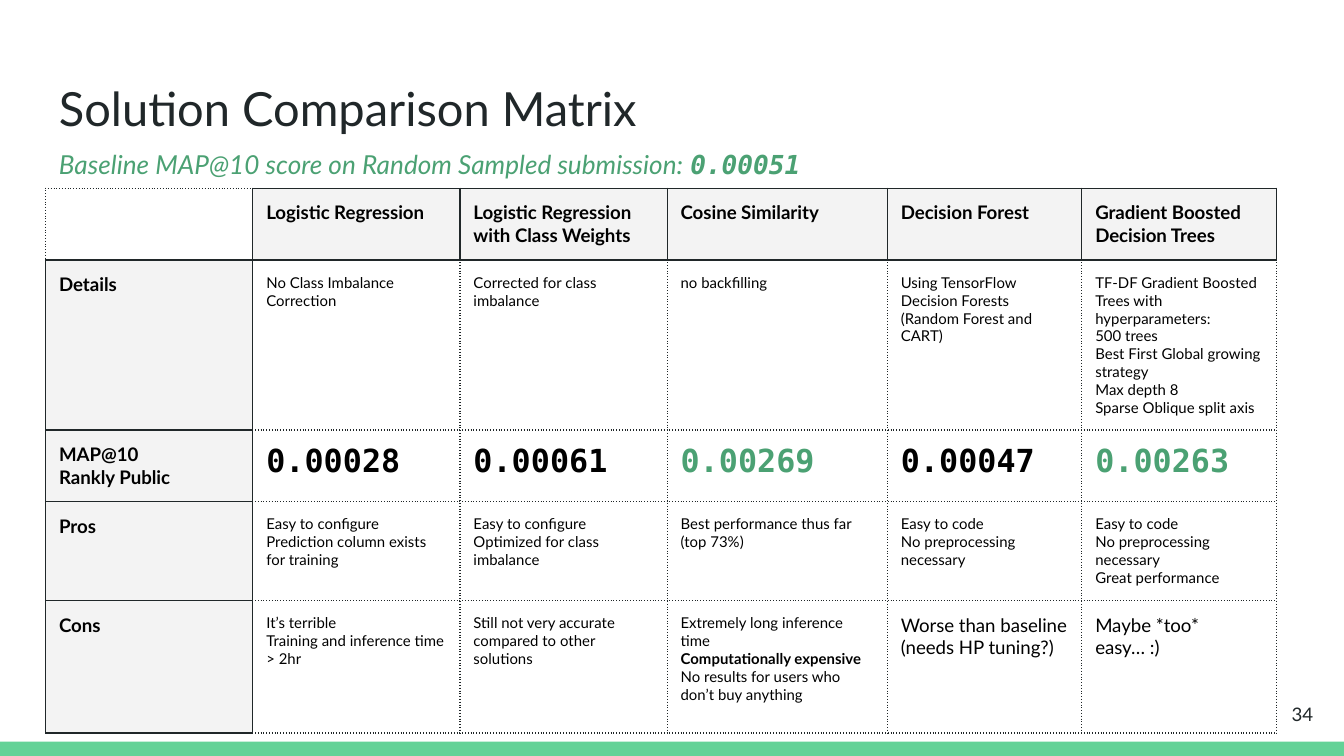
import pptx
import pptx.dml.color
import pptx.enum.shapes
import pptx.enum.text
import pptx.util
from lxml import etree

Pt = pptx.util.Pt
ALIGN = pptx.enum.text.PP_ALIGN
ANCHOR = pptx.enum.text.MSO_ANCHOR
NS = "http://schemas.openxmlformats.org/drawingml/2006/main"

INK, GREEN, BLACK, GREY, BAR = "202729", "4BA173", "000000", "F3F3F3", "63D297"
INSET = 7.2

# Text formats: font attributes plus a colour
TITLE = dict(name="Lato", size=Pt(25.2), color=INK)
LEAD = dict(name="Lato", size=Pt(14), italic=True, color=GREEN)
BASE = dict(LEAD, name="DejaVu Sans Mono", bold=True)
PAGE = dict(name="Lato", size=Pt(10), color=INK)
HEAD = dict(name="Lato", size=Pt(10), bold=True, color=BLACK)
NOTE = dict(name="Lato", size=Pt(8), bold=False, color=BLACK)
STRONG = dict(NOTE, bold=True)
LARGE = dict(NOTE, size=Pt(10))
SCORE = dict(name="DejaVu Sans Mono", size=Pt(17), bold=True, color=BLACK)
BEST = dict(SCORE, color=GREEN)

# Table content: one string per cell, one line per paragraph
COLS = [111, 111, 111, 118, 104.2, 104.2]
ROWS = [37.4, 88.6, 37.4, 46.8, 71.2]
CELLS = [
    ["", "Logistic Regression", "Logistic Regression with Class Weights",
     "Cosine Similarity", "Decision Forest", "Gradient Boosted Decision Trees"],
    ["Details", "No Class Imbalance Correction", "Corrected for class imbalance",
     "no backfilling",
     "Using TensorFlow Decision Forests (Random Forest and CART)",
     "TF-DF Gradient Boosted Trees with hyperparameters:\n500 trees\n"
     "Best First Global growing strategy\nMax depth 8\nSparse Oblique split axis"],
    ["MAP@10\nRankly Public", "0.00028", "0.00061", "0.00269", "0.00047", "0.00263"],
    ["Pros", "Easy to configure\nPrediction column exists for training",
     "Easy to configure\nOptimized for class imbalance",
     "Best performance thus far (top 73%)",
     "Easy to code\nNo preprocessing necessary",
     "Easy to code\nNo preprocessing necessary\nGreat performance"],
    ["Cons", "It’s terrible\nTraining and inference time > 2hr",
     "Still not very accurate compared to other solutions",
     "Extremely long inference time\nComputationally expensive\n"
     "No results for users who don’t buy anything",
     "Worse than baseline (needs HP tuning?)", "Maybe *too* easy… :)"],
]
# Formats of single cells that differ from their row
CUSTOM = {(2, 3): BEST, (2, 5): BEST, (4, 4): LARGE, (4, 5): LARGE}


def rgb(code):
    return pptx.dml.color.RGBColor.from_string(code)


def add_run(para, text, style):
    run = para.add_run()
    run.text = text
    for key, value in style.items():
        if key == "color":
            run.font.color.rgb = rgb(value)
        else:
            setattr(run.font, key, value)


def add_text(slide, box, runs, anchor=ANCHOR.TOP, **layout):
    frame = slide.shapes.add_textbox(*map(Pt, box)).text_frame
    margins = {f"margin_{side}": Pt(INSET) for side in ("left", "top", "right", "bottom")}
    for key, value in dict(margins, word_wrap=True, vertical_anchor=anchor).items():
        setattr(frame, key, value)
    para = frame.paragraphs[0]
    for key, value in layout.items():
        setattr(para, key, value)
    for text, style in runs:
        add_run(para, text, style)


def add_bar(slide, box, color):
    bar = slide.shapes.add_shape(pptx.enum.shapes.MSO_SHAPE.RECTANGLE, *map(Pt, box))
    bar.shadow.inherit = False
    bar.fill.solid()
    bar.fill.fore_color.rgb = rgb(color)
    bar.line.fill.background()


def is_head(row, col):
    """Header cells fill the first row and column, except their corner."""
    return (row == 0) != (col == 0)


def add_edge(cell, side, dash):
    line = etree.SubElement(cell._tc.get_or_add_tcPr(), f"{{{NS}}}ln{side}", w=str(Pt(0.75)))
    fill = etree.SubElement(line, f"{{{NS}}}solidFill")
    etree.SubElement(fill, f"{{{NS}}}srgbClr", val=INK)
    etree.SubElement(line, f"{{{NS}}}prstDash", val=dash)


def fill_cell(cell, row, col):
    head = is_head(row, col)
    # Edges that touch a header cell are solid, all others dotted
    near = {"L": (row, col - 1), "R": (row, col + 1), "T": (row - 1, col), "B": (row + 1, col)}
    for side, (r, c) in near.items():
        inside = 0 <= r < len(ROWS) and 0 <= c < len(COLS)
        solid = head or (inside and is_head(r, c))
        add_edge(cell, side, "solid" if solid else "dot")
    if head:
        cell.fill.solid()
        cell.fill.fore_color.rgb = rgb(GREY)
    else:
        cell.fill.background()
    for side in ("left", "top", "right", "bottom"):
        setattr(cell, f"margin_{side}", Pt(INSET))
    # Text
    plain = HEAD if head else SCORE if row == 2 else NOTE
    style = CUSTOM.get((row, col), plain)
    for i, text in enumerate(CELLS[row][col].splitlines()):
        para = cell.text_frame.add_paragraph() if i else cell.text_frame.paragraphs[0]
        add_run(para, text, STRONG if text == "Computationally expensive" else style)


def add_matrix(slide, left, top):
    box = map(Pt, (left, top, sum(COLS), sum(ROWS)))
    table = slide.shapes.add_table(len(ROWS), len(COLS), *box).table
    table.first_row = table.horz_banding = False
    for col, width in enumerate(COLS):
        table.columns[col].width = Pt(width)
    for row, height in enumerate(ROWS):
        table.rows[row].height = Pt(height)
        for col in range(len(COLS)):
            fill_cell(table.cell(row, col), row, col)


def main():
    deck = pptx.Presentation()
    deck.slide_width, deck.slide_height = Pt(720), Pt(405)
    slide = deck.slides.add_slide(deck.slide_layouts[6])

    # Footer bar
    add_bar(slide, (0, 397.3, 720, 7.7), BAR)

    # Title, baseline and page number
    add_text(slide, (24.5, 35.3, 671, 45.4), [("Solution Comparison Matrix", TITLE)])
    add_text(slide, (24.5, 69.8, 671, 269.3),
             [("Baseline MAP@10 score on Random Sampled submission: ", LEAD), ("0.00051", BASE)],
             line_spacing=1.15, space_after=Pt(12))
    add_text(slide, (667.4, 367.2, 43.2, 31), [("34", PAGE)], ANCHOR.MIDDLE,
             alignment=ALIGN.RIGHT)

    # Comparison table
    add_matrix(slide, 24.5, 100.8)
    deck.save("out.pptx")


if __name__ == "__main__":
    main()
